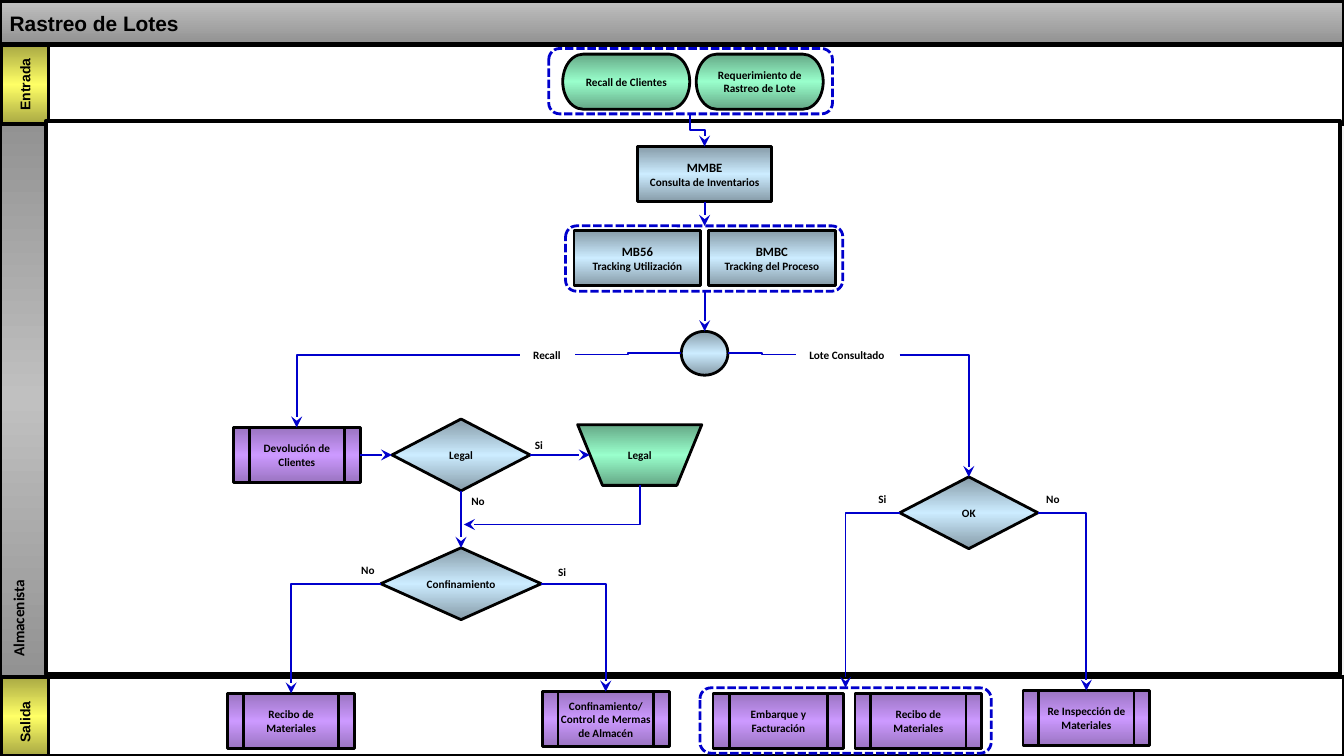
from copy import deepcopy
from lxml import etree
from pptx import Presentation
from pptx.dml.color import RGBColor
from pptx.enum.dml import MSO_LINE
from pptx.enum.shapes import MSO_CONNECTOR, MSO_SHAPE
from pptx.enum.text import MSO_ANCHOR, PP_ALIGN
from pptx.oxml.ns import qn
from pptx.util import Pt

RECT, DIAMOND = MSO_SHAPE.RECTANGLE, MSO_SHAPE.DIAMOND
PROCESS = MSO_SHAPE.FLOWCHART_PREDEFINED_PROCESS
TERMINATOR = MSO_SHAPE.FLOWCHART_TERMINATOR
MANUAL = MSO_SHAPE.FLOWCHART_MANUAL_OPERATION
CIRCLE = MSO_SHAPE.FLOWCHART_CONNECTOR
GROUP = MSO_SHAPE.FLOWCHART_ALTERNATE_PROCESS
ELBOW, STRAIGHT = MSO_CONNECTOR.ELBOW, MSO_CONNECTOR.STRAIGHT
LEFT, CENTER = PP_ALIGN.LEFT, PP_ALIGN.CENTER
TOP, MIDDLE, BOTTOM = MSO_ANCHOR.TOP, MSO_ANCHOR.MIDDLE, MSO_ANCHOR.BOTTOM

COLORS = {"black": "000000", "white": "FFFFFF", "back": "F2F2F2", "flow": "0000CC"}
GRADIENTS = {
    "gray": ["929292", "C0C0C0", "929292"],
    "header": ["C0C0C0", "929292"],
    "yellow": ["A8A843", "FFFF66", "A8A843"],
    "blue": ["869BA8", "CCECFF", "869BA8"],
    "purple": ["9A74C1", "CC99FF", "9A74C1"],
    "green": ["65A886", "99FFCC", "65A886"],
}
INSETS = ("margin_left", "margin_top", "margin_right", "margin_bottom")
W, H = 68, 29.5

prs = Presentation()
prs.slide_width, prs.slide_height = Pt(720), Pt(405)
s = prs.slides.add_slide(prs.slide_layouts[5])
s.background.fill.solid()
s.background.fill.fore_color.rgb = RGBColor.from_string(COLORS["back"])


def write(sp, lines, sizes, font="Calibri", align=CENTER, anchor=MIDDLE, inset=None, wrap=True):
    tf = sp.text_frame
    tf.word_wrap, tf.vertical_anchor = wrap, anchor
    if inset is not None:
        for name in INSETS:
            setattr(tf, name, Pt(inset))
    for i, (line, size) in enumerate(zip(lines, sizes)):
        p = tf.add_paragraph() if i else tf.paragraphs[0]
        p.alignment = align
        r = p.add_run()
        r.text = line
        for name, value in {"name": font, "size": Pt(size), "bold": True}.items():
            setattr(r.font, name, value)
        r.font.color.rgb = RGBColor.from_string(COLORS["black"])


def box(kind, x, y, w, h, paint, width=1.5):
    sp = s.shapes.add_shape(kind, Pt(x), Pt(y), Pt(w), Pt(h))
    sp.shadow.inherit = False
    line = "black"
    if paint in GRADIENTS:
        stops = GRADIENTS[paint]
        sp.fill.gradient()
        sp.fill.gradient_angle = 270
        gs_list = sp._element.spPr.find(qn("a:gradFill")).find(qn("a:gsLst"))
        if len(stops) == 3:
            gs_list.append(deepcopy(gs_list[0]))
        for i, (stop, color) in enumerate(zip(sp.fill.gradient_stops, stops)):
            stop.position = i / (len(stops) - 1)
            stop.color.rgb = RGBColor.from_string(color)
    elif paint == "dashed":
        sp.fill.background()
        line = "flow"
        sp.line.dash_style = MSO_LINE.SQUARE_DOT
    else:
        sp.fill.solid()
        sp.fill.fore_color.rgb = RGBColor.from_string(COLORS[paint])
    sp.line.color.rgb = RGBColor.from_string(COLORS[line])
    sp.line.width = Pt(width)
    return sp


box(RECT, 0, 64, 26, 299, "gray", 2)
for name, y in [("Salida", 362.5), ("Entrada", 24)]:
    box(RECT, 0, y, 720, 42.5, "white", 2)
    sp = box(RECT, 0.5, y, 25.5, 42.5, "yellow", 2)
    sp.rotation = 180
    write(sp, [name], [7.5], font="Arial", wrap=False)
    sp.text_frame._txBody.bodyPr.set("vert", "eaVert")
box(RECT, 0, 0.5, 720, 23, "header", 2)
box(RECT, 24.5, 65, 693.5, 296, "white", 2)

sp = s.shapes.add_textbox(Pt(0), Pt(61), Pt(19.5), Pt(298))
sp.rotation = 180
write(sp, ["Almacenista"], [8.2], align=LEFT)
sp.text_frame._txBody.bodyPr.set("vert", "eaVert")

for x, y, w in [(303, 121, 148.5), (294, 26, 152), (375, 368.5, 156)]:
    box(GROUP, x, y, w, 35, "dashed")

nodes = [
    (TERMINATOR, 301.5, 29, W, H, "green", ["Recall de Clientes"]),
    (TERMINATOR, 373, 29, W, H, "green", ["Requerimiento de Rastreo de Lote"]),
    (RECT, 341.5, 78.5, 72, H, "blue", ["MMBE", "Consulta de Inventarios"]),
    (RECT, 307.5, 123.5, W, H, "blue", ["MB56", "Tracking Utilización"]),
    (RECT, 379.5, 123.5, W, H, "blue", ["BMBC", "Tracking del Proceso"]),
    (CIRCLE, 365, 177.5, 25, 23.5, "blue", []),
    (PROCESS, 125, 229, W, H, "purple", ["Devolución de Clientes"]),
    (DIAMOND, 210, 224.5, 74, 38.5, "blue", ["Legal"]),
    (MANUAL, 309.5, 227.5, 66.5, 32.5, "green", ["Legal"]),
    (DIAMOND, 204, 293.5, 86, 38.5, "blue", ["Confinamiento"]),
    (DIAMOND, 482, 255.5, 74, 38.5, "blue", ["OK"]),
    (PROCESS, 122, 371.5, W, H, "purple", ["Recibo de Materiales"]),
    (PROCESS, 290.5, 370.5, W, H, "purple", ["Confinamiento/ Control de Mermas de Almacén"]),
    (PROCESS, 382, 371.5, 70, H, "purple", ["Embarque y Facturación"]),
    (PROCESS, 458, 371.5, W, H, "purple", ["Recibo de Materiales"]),
    (PROCESS, 548, 370, W, H, "purple", ["Re Inspección de Materiales"]),
]
for kind, x, y, w, h, paint, lines in nodes:
    sp = box(kind, x, y, w, h, paint)
    sizes = [6.8, 6] if len(lines) == 2 else [6]
    write(sp, lines, sizes, inset=0 if kind == DIAMOND else 0.75, wrap=kind != DIAMOND)

labels = [
    ("Recall", 278.5, 183, 29.5, 14.5, None),
    ("Lote Consultado", 426.5, 183, 55.5, 14.5, None),
    ("Si", 286.5, 235, 7, 7.5, 0),
    ("No", 252.5, 265, 11, 7.5, 0),
    ("Si", 299, 303, 7, 7.5, 0),
    ("No", 193.5, 302, 11, 7.5, 0),
    ("Si", 470.5, 264, 7, 7.5, 0),
    ("No", 560.5, 264, 11, 7.5, 0),
]
for text, x, y, w, h, inset in labels:
    sp = s.shapes.add_textbox(Pt(x), Pt(y), Pt(w), Pt(h))
    write(sp, [text], [6], align=LEFT, anchor=TOP, inset=inset, wrap=False)

flows = [
    ("step down", 369.5, 61, 377.5, 78.5, "tailEnd"),
    ("straight", 377.5, 108, 377.5, 121, "tailEnd"),
    ("straight", 377.5, 156, 377.5, 177.5, "tailEnd"),
    ("step", 365, 189.25, 308, 190, None),
    ("step", 390, 189.25, 426.5, 190, None),
    ("corner", 278.5, 190, 159, 229, "tailEnd"),
    ("corner", 482, 190, 519, 255.5, "tailEnd"),
    ("straight", 193, 243.75, 210, 243.75, "tailEnd"),
    ("straight", 284, 243.75, 316, 243.75, "tailEnd"),
    ("straight", 247, 263, 247, 293.5, "tailEnd"),
    ("corner", 248.5, 281, 342.75, 260, "headEnd"),
    ("corner", 204, 312.75, 156, 371.5, "tailEnd"),
    ("corner", 290, 312.75, 324.5, 370.5, "tailEnd"),
    ("corner", 482, 274.75, 453, 368.5, "tailEnd"),
    ("corner", 556, 274.75, 582, 370, "tailEnd"),
]
for route, x1, y1, x2, y2, arrow in flows:
    if route == "step down":
        cx, cy, dx, dy = (x1 + x2) / 2, (y1 + y2) / 2, (x2 - x1) / 2, (y2 - y1) / 2
        x1, y1, x2, y2 = cx + dy, cy - dx, cx - dy, cy + dx
    kind = STRAIGHT if route == "straight" else ELBOW
    c = s.shapes.add_connector(kind, Pt(x1), Pt(y1), Pt(x2), Pt(y2))
    c.line.color.rgb = RGBColor.from_string(COLORS["flow"])
    c.line.width = Pt(1)
    spPr = c._element.spPr
    if route == "step down":
        spPr.find(qn("a:xfrm")).set("rot", "16200000")
    if route == "corner":
        spPr.find(qn("a:prstGeom")).set("prst", "bentConnector2")
    if arrow:
        etree.SubElement(spPr.find(qn("a:ln")), qn("a:" + arrow), type="stealth")
    etree.SubElement(spPr, qn("a:effectLst"))

title = s.shapes.title
title.left, title.top, title.width, title.height = Pt(-2), Pt(-1.5), Pt(720), Pt(24)
write(title, ["Rastreo de Lotes"], [11.2], font="Arial", align=LEFT, anchor=BOTTOM)
s.shapes._spTree.append(title._element)

prs.save("out.pptx")
